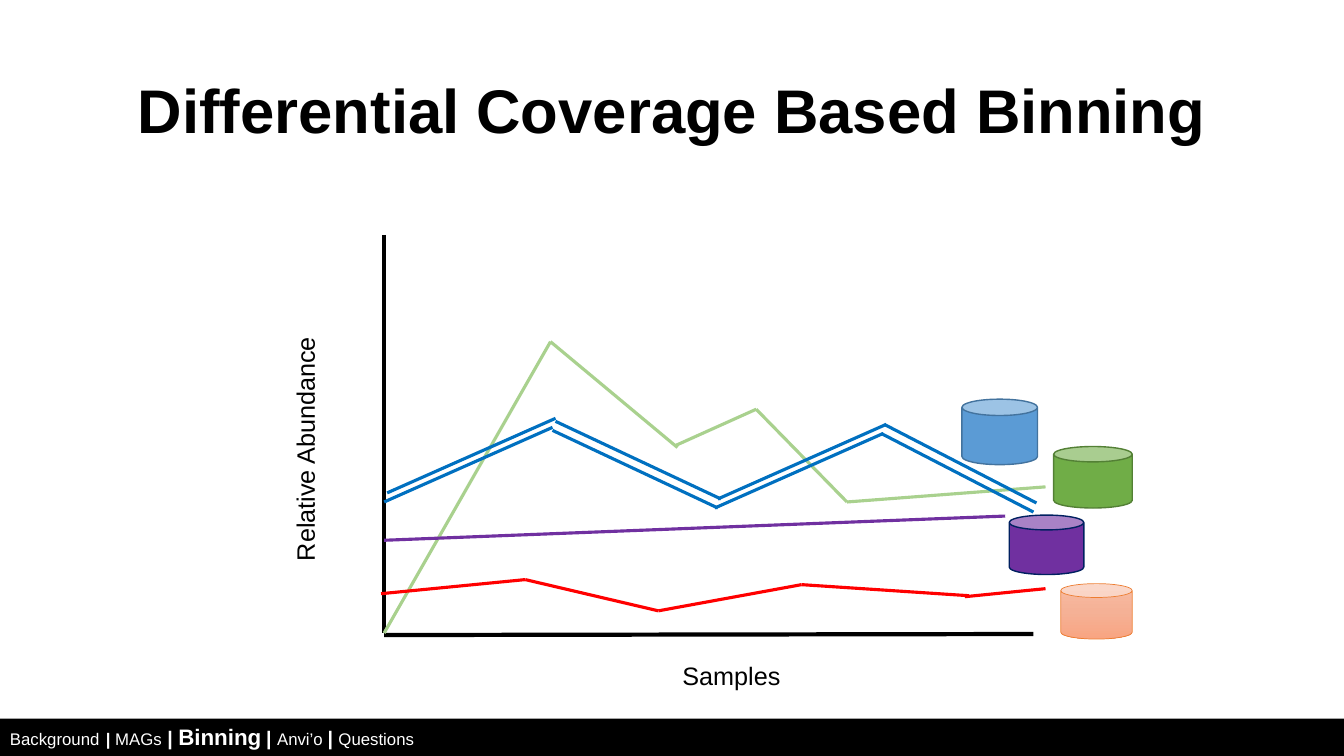
from copy import deepcopy
from dataclasses import dataclass

from lxml import etree
from pptx import Presentation
from pptx.dml.color import RGBColor
from pptx.enum.shapes import MSO_CONNECTOR, MSO_SHAPE
from pptx.enum.text import MSO_ANCHOR, PP_ALIGN
from pptx.oxml.ns import qn
from pptx.util import Inches, Pt


@dataclass(frozen=True)
class Theme:
    font: str = "Arial"
    ink: str = "000000"
    paper: str = "FFFFFF"
    green: str = "A9D18E"
    blue: str = "0070C0"
    red: str = "FF0000"
    purple: str = "7030A0"
    title_size: int = 44
    label_size: int = 18
    axis_width: float = 3
    trace_width: float = 2.25


THEME = Theme()

TITLE = "Differential Coverage Based Binning"
X_LABEL = "Samples"
Y_LABEL = "Relative Abundance"

BREADCRUMB = [
    ("Background", 12, False), (" ", 16, True), ("| ", 12, True),
    ("MAGs", 12, False), (" ", 14, False), ("| ", 14, True),
    ("Binning", 16, True), (" ", 12, False), ("| ", 14, True),
    ("Anvi’o ", 12, False), ("| ", 14, True), ("Questions", 12, False),
]

AXES = [(3.81, 2.33, 3.81, 6.28), (10.25, 6.29, 3.81, 6.3)]
GREEN_TRACE = [
    (3.81, 6.28, 5.46, 3.39), (5.46, 3.39, 6.72, 4.44),
    (6.7, 4.42, 7.5, 4.06), (7.5, 4.06, 8.4, 4.98), (8.4, 4.98, 10.37, 4.83),
]
BLUE_TRACE = [
    (3.81, 4.98, 5.48, 4.24), (5.48, 4.27, 7.12, 5.04),
    (7.09, 5.04, 8.76, 4.3), (8.74, 4.3, 10.25, 5.08),
]
RED_TRACE = [
    (3.78, 5.89, 5.21, 5.75), (5.21, 5.75, 6.53, 6.06),
    (6.53, 6.06, 7.95, 5.8), (7.95, 5.8, 9.61, 5.91), (9.57, 5.92, 10.37, 5.84),
]
PURPLE_TRACE = [(3.81, 5.36, 9.97, 5.12)]
TWIN_SHIFT = (0.03, -0.09)

BINS = [
    ((10.52, 5.79, 0.71, 0.55), ("F7BDA5", "F5B196", "F8A582"), "ED7D31", 0.5),
    ((10.01, 5.11, 0.74, 0.59), ("7030A0",), "002060", 1),
    ((10.45, 4.43, 0.78, 0.61), ("70AD47",), "538035", 1),
    ((9.54, 3.96, 0.75, 0.65), ("5B9BD5",), "43739E", 1),
]


def rgb(color):
    return RGBColor.from_string(color)


def add_text(slide, box, runs, color, anchor=MSO_ANCHOR.TOP):
    label = slide.shapes.add_textbox(*map(Inches, box))
    frame = label.text_frame
    frame.word_wrap = True
    frame.vertical_anchor = anchor
    for words, size, bold in runs:
        run = frame.paragraphs[0].add_run()
        run.text = words
        run.font.name = THEME.font
        run.font.size = Pt(size)
        run.font.bold = bold
        run.font.color.rgb = rgb(color)
    return label


def add_segments(slide, segments, color, width, shift=(0, 0)):
    dx, dy = shift
    for x1, y1, x2, y2 in segments:
        ends = (x1 + dx, y1 + dy, x2 + dx, y2 + dy)
        segment = slide.shapes.add_connector(MSO_CONNECTOR.STRAIGHT, *map(Inches, ends))
        segment.line.color.rgb = rgb(color)
        segment.line.width = Pt(width)
        etree.SubElement(segment._element.spPr, qn("a:effectLst"))


def fill_gradient(fill, colors):
    fill.gradient()
    fill.gradient_angle = 270
    stop_list = fill._xPr.find(qn("a:gradFill")).find(qn("a:gsLst"))
    stop_list.insert(1, deepcopy(stop_list[0]))
    for index, (stop, color) in enumerate(zip(fill.gradient_stops, colors)):
        stop.color.rgb = rgb(color)
        stop.position = index / (len(colors) - 1)


def add_solid(slide, preset, box, colors):
    solid = slide.shapes.add_shape(preset, *map(Inches, box))
    solid.shadow.inherit = False
    if len(colors) > 1:
        fill_gradient(solid.fill, colors)
    else:
        solid.fill.solid()
        solid.fill.fore_color.rgb = rgb(colors[0])
    return solid


def main():
    deck = Presentation()
    deck.slide_width, deck.slide_height = Inches(13.33), Inches(7.5)
    slide = deck.slides.add_slide(deck.slide_layouts[6])

    title = add_text(slide, (0.92, 0.4, 11.5, 1.45), [(TITLE, THEME.title_size, True)],
                     THEME.ink, MSO_ANCHOR.MIDDLE)
    title.text_frame.paragraphs[0].alignment = PP_ALIGN.CENTER
    title.text_frame.paragraphs[0].line_spacing = 0.9

    footer = add_solid(slide, MSO_SHAPE.RECTANGLE, (0, 7.13, 13.33, 0.39), (THEME.ink,))
    footer.line.fill.background()
    add_text(slide, (0, 7.12, 10.42, 0.37), BREADCRUMB, THEME.paper)

    add_segments(slide, AXES, THEME.ink, THEME.axis_width)
    add_text(slide, (6.67, 6.5, 1.74, 0.4), [(X_LABEL, THEME.label_size, False)], THEME.ink)
    y_label = add_text(slide, (1.66, 4.1, 2.73, 0.4),
                       [(Y_LABEL, THEME.label_size, False)], THEME.ink)
    y_label.rotation = 270

    for trace, color in [(GREEN_TRACE, THEME.green), (BLUE_TRACE, THEME.blue),
                         (RED_TRACE, THEME.red), (PURPLE_TRACE, THEME.purple)]:
        add_segments(slide, trace, color, THEME.trace_width)

    for box, colors, outline, width in BINS:
        can = add_solid(slide, MSO_SHAPE.CAN, box, colors)
        can.line.color.rgb = rgb(outline)
        can.line.width = Pt(width)

    add_segments(slide, BLUE_TRACE, THEME.blue, THEME.trace_width, TWIN_SHIFT)

    deck.save("out.pptx")


if __name__ == "__main__":
    main()
